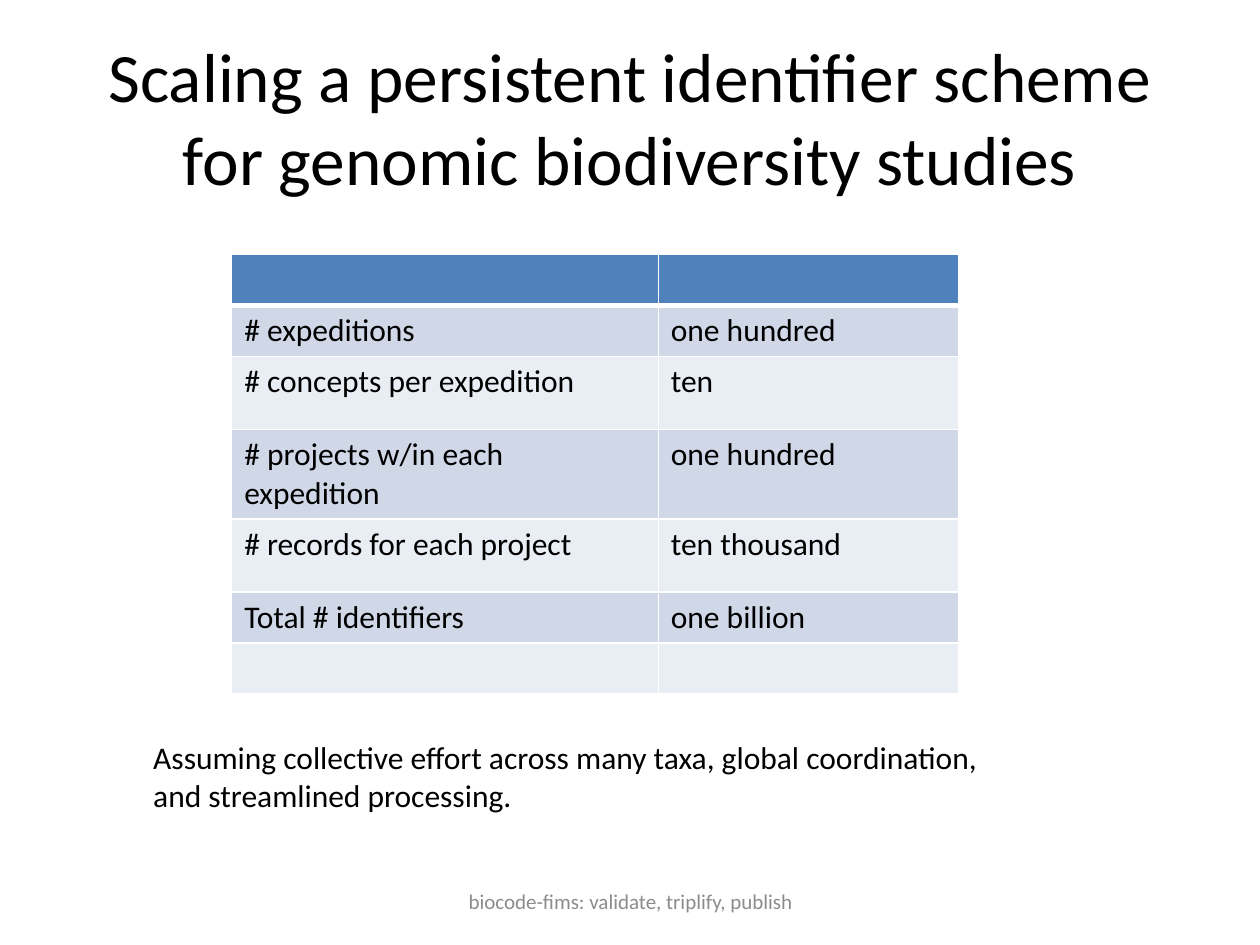
from dataclasses import dataclass

from lxml import etree
from pptx import Presentation
from pptx.dml.color import RGBColor
from pptx.enum.text import MSO_ANCHOR, MSO_AUTO_SIZE, PP_ALIGN
from pptx.oxml.ns import qn
from pptx.util import Cm, Pt

LEFT, CENTER = PP_ALIGN.LEFT, PP_ALIGN.CENTER
TOP, MIDDLE = MSO_ANCHOR.TOP, MSO_ANCHOR.MIDDLE
FIXED = MSO_AUTO_SIZE.NONE

FONT = "Calibri"
BLACK, GREY, WHITE = "000000", "8C8C8C", "FFFFFF"
HEAD = "4F81BD"
BANDS = ("D0D8E8", "E9EDF4")
LOW, HIGH = 0.87, 1.47  # row heights in cm


@dataclass
class Row:
    label: str
    count: str
    height: float


@dataclass
class Note:
    lines: tuple[str, ...]
    box: tuple[float, float, float, float]
    size: float
    color: str
    align: PP_ALIGN = LEFT
    anchor: MSO_ANCHOR = TOP
    wrap: bool = True


ROWS = [
    Row("", "", LOW),
    Row("# expeditions", "one hundred", LOW),
    Row("# concepts per expedition", "ten", HIGH),
    Row("# projects w/in each expedition", "one hundred", HIGH),
    Row("# records for each project", "ten thousand", HIGH),
    Row("Total # identifiers", "one billion", LOW),
    Row("", "", LOW),
]
COLS = (8.6, 6.06)

TITLE = Note(
    ("Scaling a persistent identifier scheme for genomic biodiversity studies",),
    (1.27, 0.76, 22.86, 3.18), 39.6, BLACK, CENTER, MIDDLE)
NOTES = [
    Note(("Assuming collective effort across many taxa, global coordination,",
          "and streamlined processing."),
         (2.84, 14.76, 17.4, 1.8), 18, BLACK, wrap=False),
    Note(("biocode-fims: validate, triplify, publish",),
         (8.69, 17.65, 8.05, 1.02), 12, GREY, CENTER, MIDDLE),
]


def rgb(code: str) -> RGBColor:
    return RGBColor.from_string(code)


def style(frame, size: float, color: str, align: PP_ALIGN = LEFT) -> None:
    for para in frame.paragraphs:
        para.alignment = align
        para.font.size = Pt(size)
        for run in para.runs:
            run.font.name = FONT
            run.font.size = Pt(size)
            run.font.color.rgb = rgb(color)


def fill_note(shape, note: Note) -> None:
    shape.left, shape.top, shape.width, shape.height = map(Cm, note.box)
    frame = shape.text_frame
    frame.text = "\n".join(note.lines)
    frame.word_wrap = note.wrap
    frame.auto_size = FIXED
    frame.vertical_anchor = note.anchor
    style(frame, note.size, note.color, note.align)


def edge(cell, side: str, width: float) -> None:
    props = cell._tc.get_or_add_tcPr()
    line = etree.SubElement(props, qn(f"a:ln{side}"), w=str(Pt(width)))
    paint = etree.SubElement(line, qn("a:solidFill"))
    etree.SubElement(paint, qn("a:srgbClr"), val=WHITE)


def draw_table(slide, rows: list[Row]) -> None:
    frame = slide.shapes.add_table(
        len(rows), len(COLS), Cm(4.67), Cm(5.13),
        Cm(sum(COLS)), Cm(sum(row.height for row in rows)))
    table = frame.table
    for col, width in zip(table.columns, COLS):
        col.width = Cm(width)
    for i, row in enumerate(rows):
        table.rows[i].height = Cm(row.height)
        for j, text in enumerate((row.label, row.count)):
            cell = table.cell(i, j)
            cell.text = text
            style(cell.text_frame, 18, BLACK)
            # The rule below the header is thicker
            for side in "LRTB":
                thick = (i, side) in ((0, "B"), (1, "T"))
                edge(cell, side, 3 if thick else 1)
            cell.fill.solid()
            cell.fill.fore_color.rgb = rgb(BANDS[(i - 1) % 2] if i else HEAD)


def main() -> None:
    deck = Presentation()
    deck.slide_width, deck.slide_height = Cm(25.4), Cm(19.05)
    slide = deck.slides.add_slide(deck.slide_layouts[5])

    # Title
    fill_note(slide.shapes.title, TITLE)

    # Table of counts
    draw_table(slide, ROWS)

    # Remark and footer
    for note in NOTES:
        fill_note(slide.shapes.add_textbox(0, 0, 0, 0), note)

    deck.save("out.pptx")


if __name__ == "__main__":
    main()
